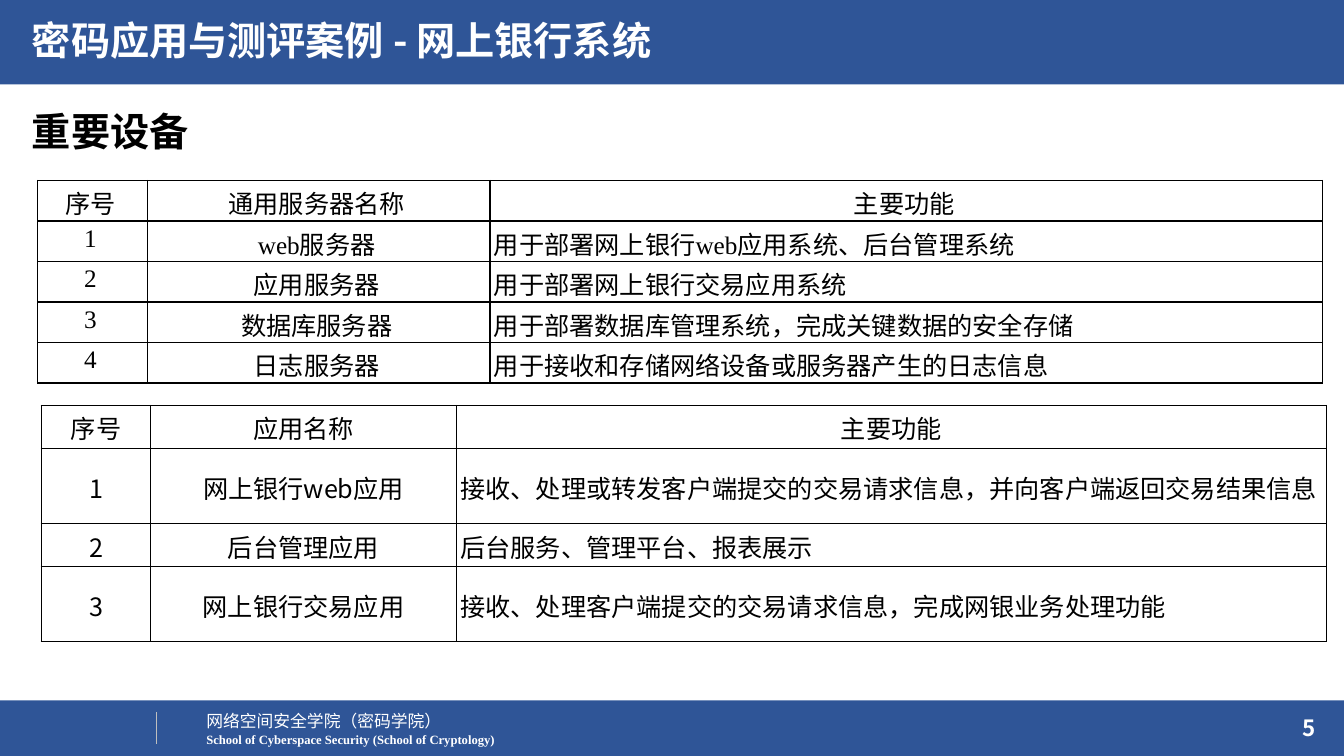
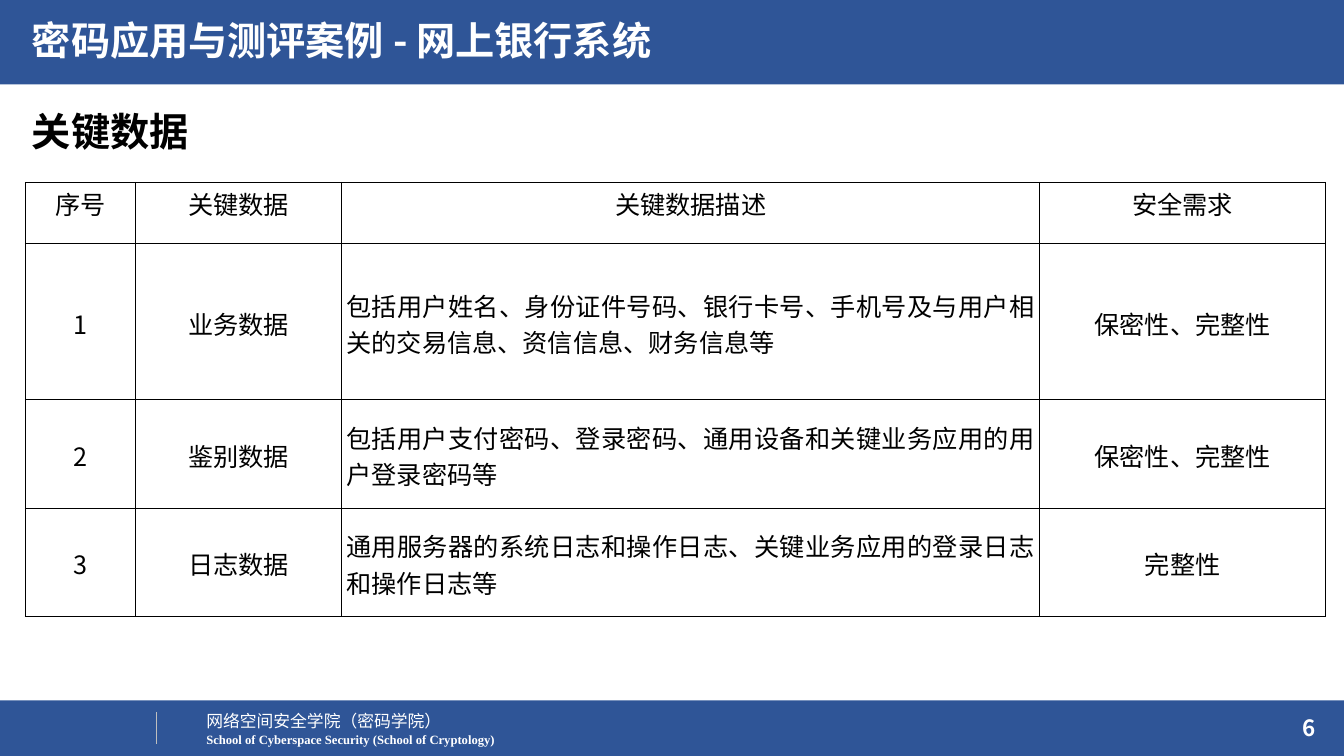
from lxml import etree
from pptx import Presentation
from pptx.dml.color import RGBColor
from pptx.enum.shapes import MSO_CONNECTOR, MSO_SHAPE
from pptx.enum.text import MSO_ANCHOR, MSO_AUTO_SIZE, PP_ALIGN
from pptx.oxml.ns import qn
from pptx.util import Cm, Pt

RECTANGLE = MSO_SHAPE.RECTANGLE
STRAIGHT = MSO_CONNECTOR.STRAIGHT
TOP, MIDDLE = MSO_ANCHOR.TOP, MSO_ANCHOR.MIDDLE
FIT_SHAPE, NO_FIT = MSO_AUTO_SIZE.SHAPE_TO_FIT_TEXT, MSO_AUTO_SIZE.NONE
LEFT, CENTER, RIGHT, JUSTIFY = PP_ALIGN.LEFT, PP_ALIGN.CENTER, PP_ALIGN.RIGHT, PP_ALIGN.JUSTIFY

COLORS = {"band": "2F5597", "light": "FFFFFF", "ink": "000000", "divider": "BFBFBF"}
SANS = "Noto Sans CJK SC"
SERIF = "Times New Roman"
SLIDE_WIDTH, SLIDE_HEIGHT = 33.87, 19.05
HEADER_HEIGHT, FOOTER_HEIGHT = 2.13, 1.4

COURSE_TITLE = "密码应用与测评案例 - 网上银行系统"
FIRST_PAGE = 5
# Margins run left, top, right, bottom; body cells are centred vertically
# from column middle_from onwards.
PAGES = [
    {
        "heading": "重要设备",
        "tables": [
            {
                "left": 0.95, "top": 4.55, "font": SERIF,
                "margins": (0.1, 0.1, 0.2, 0), "middle_from": 2,
                "widths": [2.76, 8.64, 20.98],
                "heights": [1.02] * 5,
                "rows": [
                    ["序号", "通用服务器名称", "主要功能"],
                    ["1", "web服务器", "用于部署网上银行web应用系统、后台管理系统"],
                    ["2", "应用服务器", "用于部署网上银行交易应用系统"],
                    ["3", "数据库服务器", "用于部署数据库管理系统，完成关键数据的安全存储"],
                    ["4", "日志服务器", "用于接收和存储网络设备或服务器产生的日志信息"],
                ],
            },
            {
                "left": 1.04, "top": 10.22, "font": SANS,
                "margins": (0.1, 0.1, 0.1, 0), "middle_from": 0,
                "widths": [2.76, 7.7, 21.92],
                "heights": [1.08, 1.89, 1.08, 1.89],
                "rows": [
                    ["序号", "应用名称", "主要功能"],
                    ["1", "网上银行web应用",
                     "接收、处理或转发客户端提交的交易请求信息，并向客户端返回交易结果信息"],
                    ["2", "后台管理应用", "后台服务、管理平台、报表展示"],
                    ["3", "网上银行交易应用",
                     "接收、处理客户端提交的交易请求信息，完成网银业务处理功能"],
                ],
            },
        ],
    },
    {
        "heading": "关键数据",
        "tables": [
            {
                "left": 0.64, "top": 4.6, "font": SANS,
                "margins": (0.12, 0.08, 0.12, 0), "middle_from": 0,
                "widths": [2.77, 5.2, 17.59, 7.21],
                "heights": [1.54, 3.93, 2.74, 2.72],
                "rows": [
                    ["序号", "关键数据", "关键数据描述", "安全需求"],
                    ["1", "业务数据",
                     "包括用户姓名、身份证件号码、银行卡号、手机号及与用户相关的交易信息、资信信息、财务信息等",
                     "保密性、完整性"],
                    ["2", "鉴别数据",
                     "包括用户支付密码、登录密码、通用设备和关键业务应用的用户登录密码等",
                     "保密性、完整性"],
                    ["3", "日志数据",
                     "通用服务器的系统日志和操作日志、关键业务应用的登录日志和操作日志等",
                     "完整性"],
                ],
            },
        ],
    },
]


def write(frame, text, size, color, font=SANS, bold=False, align=LEFT):
    """Fill a text frame with one paragraph in Latin and East Asian fonts."""
    frame.text = text
    paragraph = frame.paragraphs[0]
    paragraph.alignment = align
    for run in paragraph.runs:
        run.font.size = Pt(size)
        run.font.bold = bold
        run.font.color.rgb = RGBColor.from_string(COLORS[color])
        run.font.name = font
        etree.SubElement(run.font._element, qn("a:ea"), typeface=SANS)
    return paragraph


def add_borders(cell):
    properties = cell._tc.get_or_add_tcPr()
    for side in ("lnL", "lnR", "lnT", "lnB"):
        border = etree.SubElement(properties, qn(f"a:{side}"), w=str(Pt(1)))
        fill = etree.SubElement(border, qn("a:solidFill"))
        etree.SubElement(fill, qn("a:srgbClr"), val=COLORS["ink"])


prs = Presentation()
prs.slide_width, prs.slide_height = Cm(SLIDE_WIDTH), Cm(SLIDE_HEIGHT)
layout = prs.slide_layouts[1]
slides = [prs.slides.add_slide(layout) for page in PAGES]

# Bands and footer are drawn once, then moved to the shared layout.
shapes = slides[0].shapes
shared = []
for top, height in ((SLIDE_HEIGHT - FOOTER_HEIGHT, FOOTER_HEIGHT), (0, HEADER_HEIGHT)):
    band = shapes.add_shape(RECTANGLE, 0, Cm(top), Cm(SLIDE_WIDTH), Cm(height))
    band.shadow.inherit = False
    band.fill.solid()
    band.fill.fore_color.rgb = RGBColor.from_string(COLORS["band"])
    band.line.fill.background()
    shared.append(band)

for top, width, height, text, size, font, bold in (
    (17.78, 6.5, 0.76, "网络空间安全学院（密码学院）", 12, SANS, False),
    (18.31, 7.85, 0.64, "School of Cyberspace Security (School of Cryptology)", 9, SERIF, True),
):
    school = shapes.add_textbox(Cm(4.95), Cm(top), Cm(width), Cm(height))
    school.text_frame.word_wrap = False
    school.text_frame.auto_size = FIT_SHAPE
    write(school.text_frame, text, size, "light", font, bold)
    shared.append(school)

divider = shapes.add_connector(STRAIGHT, Cm(3.95), Cm(17.95), Cm(3.95), Cm(18.76))
divider.line.color.rgb = RGBColor.from_string(COLORS["divider"])
divider.line.width = Pt(0.5)
etree.SubElement(divider.element.spPr, qn("a:effectLst"))
shared.append(divider)

for shape_id, shape in enumerate(shared, start=20):
    shape.element.xpath(".//p:cNvPr")[0].set("id", str(shape_id))
    layout.shapes.element.append(shape.element)

for number, (slide, page) in enumerate(zip(slides, PAGES), start=FIRST_PAGE):
    for placeholder, text, color, top, width in (
        (slide.shapes.title, COURSE_TITLE, "light", 0.28, 21.39),
        (slide.placeholders[1], page["heading"], "ink", 2.57, 32.77),
    ):
        placeholder.left, placeholder.top = Cm(0.55), Cm(top)
        placeholder.width, placeholder.height = Cm(width), Cm(1.56)
        frame = placeholder.text_frame
        frame.vertical_anchor = TOP
        frame.auto_size = NO_FIT
        paragraph = write(frame, text, 28, color, bold=True)
        paragraph.line_spacing = 1.0
        paragraph.space_before = Pt(10)
        properties = paragraph._p.get_or_add_pPr()
        properties.set("marL", "0")
        properties.set("indent", "0")
        etree.SubElement(properties, qn("a:buNone"))

    page_number = slide.shapes.add_textbox(Cm(25.78), Cm(17.83), Cm(7.62), Cm(1.02))
    page_number.text_frame.word_wrap = True
    page_number.text_frame.vertical_anchor = MIDDLE
    write(page_number.text_frame, str(number), 16, "light", bold=True, align=RIGHT)

    for content in page["tables"]:
        widths, heights, rows = content["widths"], content["heights"], content["rows"]
        table = slide.shapes.add_table(
            len(rows), len(widths), Cm(content["left"]), Cm(content["top"]),
            Cm(sum(widths)), Cm(sum(heights))).table
        table.first_row = table.horz_banding = False
        for column, width in zip(table.columns, widths):
            column.width = Cm(width)
        for r, (row, height) in enumerate(zip(rows, heights)):
            table.rows[r].height = Cm(height)
            for c, text in enumerate(row):
                cell = table.cell(r, c)
                (cell.margin_left, cell.margin_top,
                 cell.margin_right, cell.margin_bottom) = map(Cm, content["margins"])
                is_body = r > 0
                cell.vertical_anchor = MIDDLE if is_body and c >= content["middle_from"] else TOP
                align = JUSTIFY if is_body and c == 2 else CENTER
                write(cell.text_frame, text, 18, "ink", content["font"], align=align)
                add_borders(cell)
                cell.fill.background()

prs.save("out.pptx")
